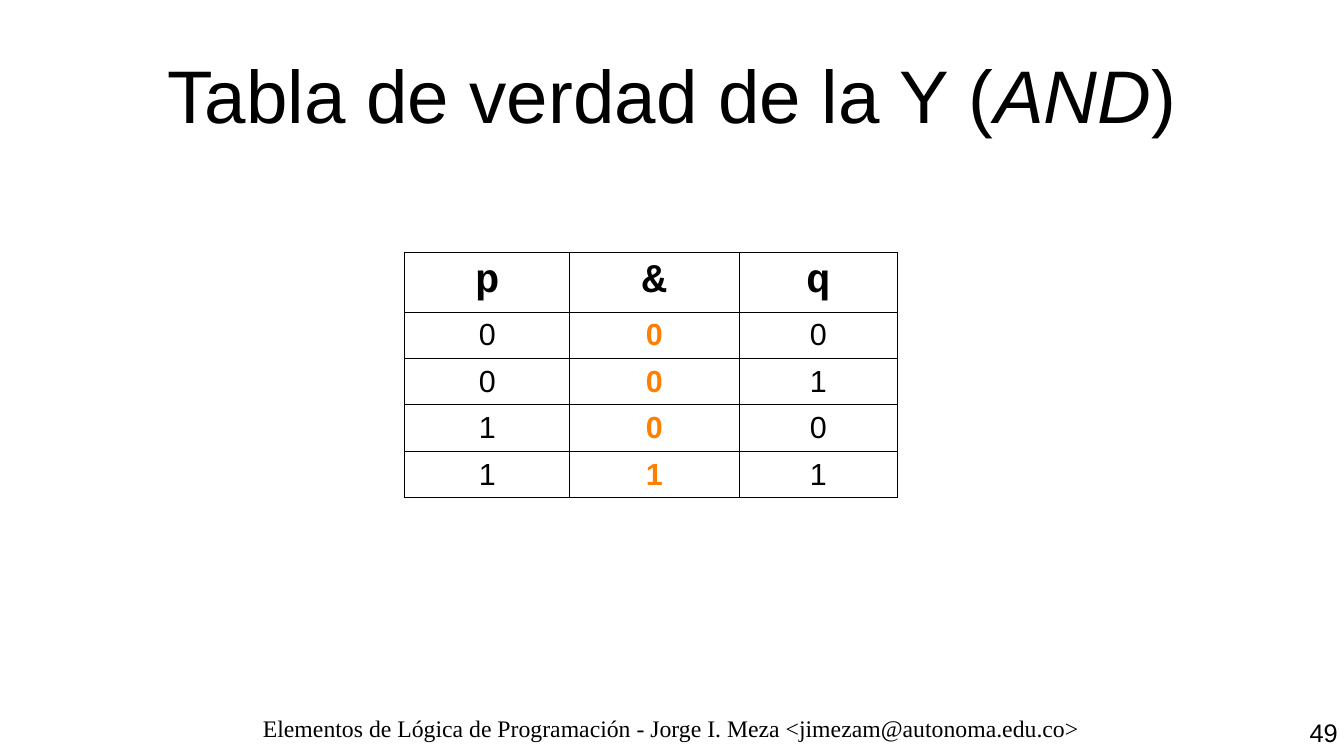
"""Build the truth table slide for the logical AND."""
import dataclasses

import lxml.etree
import pptx
import pptx.dml.color
import pptx.enum.text
import pptx.oxml.ns
import pptx.presentation
import pptx.shapes.base
import pptx.slide
import pptx.table
import pptx.text.text
import pptx.util

BLACK = pptx.dml.color.RGBColor(0x00, 0x00, 0x00)
ORANGE = pptx.dml.color.RGBColor(0xFF, 0x80, 0x00)
SLIDE_WIDTH = pptx.util.Inches(11.02)
SLIDE_HEIGHT = pptx.util.Inches(6.2)
COLUMN_WIDTHS = (1.35, 1.39, 1.3)
HEADER_HEIGHT = 0.49
ROW_HEIGHT = 0.38
BORDER_WIDTH = pptx.util.Pt(0.57)
CENTER = pptx.enum.text.PP_ALIGN.CENTER
RIGHT = pptx.enum.text.PP_ALIGN.RIGHT


@dataclasses.dataclass(frozen=True)
class Style:
    """Font and alignment of a paragraph."""

    font_name: str
    size: float
    color: pptx.dml.color.RGBColor = BLACK
    bold: bool = False
    alignment: pptx.enum.text.PP_ALIGN = CENTER


@dataclasses.dataclass(frozen=True)
class Box:
    """Left, top, width and height in inches."""

    left: float
    top: float
    width: float
    height: float

    def lengths(self) -> list[pptx.util.Length]:
        """Return the four values as lengths."""
        return [pptx.util.Inches(value) for value in dataclasses.astuple(self)]


@dataclasses.dataclass(frozen=True)
class Label:
    """A line of text at the foot of the slide."""

    text: str
    box: Box
    style: Style
    side_margin: float = 0
    top_margin: float = 0


TITLE_BOX = Box(0.55, 0.25, 9.92, 1.04)
TITLE_STYLE = Style("Arial", 44)
HEADER_STYLE = Style("Courier New", 24, bold=True)
OPERAND_STYLE = Style("Arial", 18)
RESULT_STYLE = Style("Arial", 18, ORANGE, bold=True)
LABELS = (
    Label("49", Box(9.92, 5.83, 1.1, 0.37),
          Style("Arial", 15, alignment=RIGHT), 0.05, 0.05),
    Label("Elementos de Lógica de Programación - Jorge I. Meza <jimezam@autonoma.edu.co>",
          Box(0.51, 5.85, 9.99, 0.35), Style("Times New Roman", 14)),
)


def format_paragraph(paragraph: pptx.text.text._Paragraph, style: Style) -> None:
    """Apply a style to a paragraph."""
    paragraph.alignment = style.alignment
    paragraph.font.name = style.font_name
    paragraph.font.size = pptx.util.Pt(style.size)
    paragraph.font.bold = style.bold
    paragraph.font.color.rgb = style.color


def set_margins(frame: pptx.text.text.TextFrame, side: float, top: float) -> None:
    """Set the inner margins of a text frame in inches."""
    frame.margin_left = frame.margin_right = pptx.util.Inches(side)
    frame.margin_top = frame.margin_bottom = pptx.util.Inches(top)


def add_title(slide: pptx.slide.Slide) -> None:
    """Fill the title placeholder, with the operator in italics."""
    title = slide.shapes.title
    title.left, title.top, title.width, title.height = TITLE_BOX.lengths()
    frame = title.text_frame
    set_margins(frame, 0, 0)
    frame.vertical_anchor = pptx.enum.text.MSO_ANCHOR.MIDDLE
    paragraph = frame.paragraphs[0]
    for text, italic in (("Tabla de verdad de la Y (", False), ("AND", True), (")", False)):
        run = paragraph.add_run()
        run.text = text
        run.font.italic = italic
    format_paragraph(paragraph, TITLE_STYLE)


def add_label(slide: pptx.slide.Slide, label: Label) -> None:
    """Add a footer label."""
    frame = slide.shapes.add_textbox(*label.box.lengths()).text_frame
    frame.word_wrap = True
    set_margins(frame, label.side_margin, label.top_margin)
    frame.text = label.text
    format_paragraph(frame.paragraphs[0], label.style)


def add_borders(cell: pptx.table._Cell) -> None:
    """Draw a thin black line on each side of a cell."""
    qualified = pptx.oxml.ns.qn
    properties = cell._tc.get_or_add_tcPr()
    for side in ("a:lnL", "a:lnR", "a:lnT", "a:lnB"):
        line = lxml.etree.SubElement(properties, qualified(side), w=str(BORDER_WIDTH))
        fill = lxml.etree.SubElement(line, qualified("a:solidFill"))
        lxml.etree.SubElement(fill, qualified("a:srgbClr"), val=str(BLACK))


def format_cell(cell: pptx.table._Cell, text: str, style: Style) -> None:
    """Write the text of a cell and set its look."""
    add_borders(cell)
    cell.fill.background()
    cell.margin_left = cell.margin_right = pptx.util.Inches(0.04)
    cell.margin_top = cell.margin_bottom = pptx.util.Inches(0.05)
    cell.text = text
    format_paragraph(cell.text_frame.paragraphs[0], style)


def add_truth_table(slide: pptx.slide.Slide) -> None:
    """Add the table of p, q and their conjunction."""
    rows = [("p", "&", "q")]
    rows += [(str(p), str(p & q), str(q)) for p in (0, 1) for q in (0, 1)]
    heights = [HEADER_HEIGHT] + [ROW_HEIGHT] * (len(rows) - 1)
    box = Box(3.32, 2.07, sum(COLUMN_WIDTHS), sum(heights))
    table = slide.shapes.add_table(len(rows), len(COLUMN_WIDTHS), *box.lengths()).table
    table.first_row = table.horz_banding = False
    for column, width in zip(table.columns, COLUMN_WIDTHS):
        column.width = pptx.util.Inches(width)
    value_styles = (OPERAND_STYLE, RESULT_STYLE, OPERAND_STYLE)
    for index, (row, height, texts) in enumerate(zip(table.rows, heights, rows)):
        row.height = pptx.util.Inches(height)
        styles = value_styles if index else (HEADER_STYLE,) * len(texts)
        for cell, text, style in zip(row.cells, texts, styles):
            format_cell(cell, text, style)


def main() -> None:
    """Build and save the presentation."""
    presentation = pptx.Presentation()
    presentation.slide_width = SLIDE_WIDTH
    presentation.slide_height = SLIDE_HEIGHT
    slide = presentation.slides.add_slide(presentation.slide_layouts[5])
    add_title(slide)
    add_truth_table(slide)
    for label in LABELS:
        add_label(slide, label)
    presentation.save("out.pptx")


if __name__ == "__main__":
    main()
